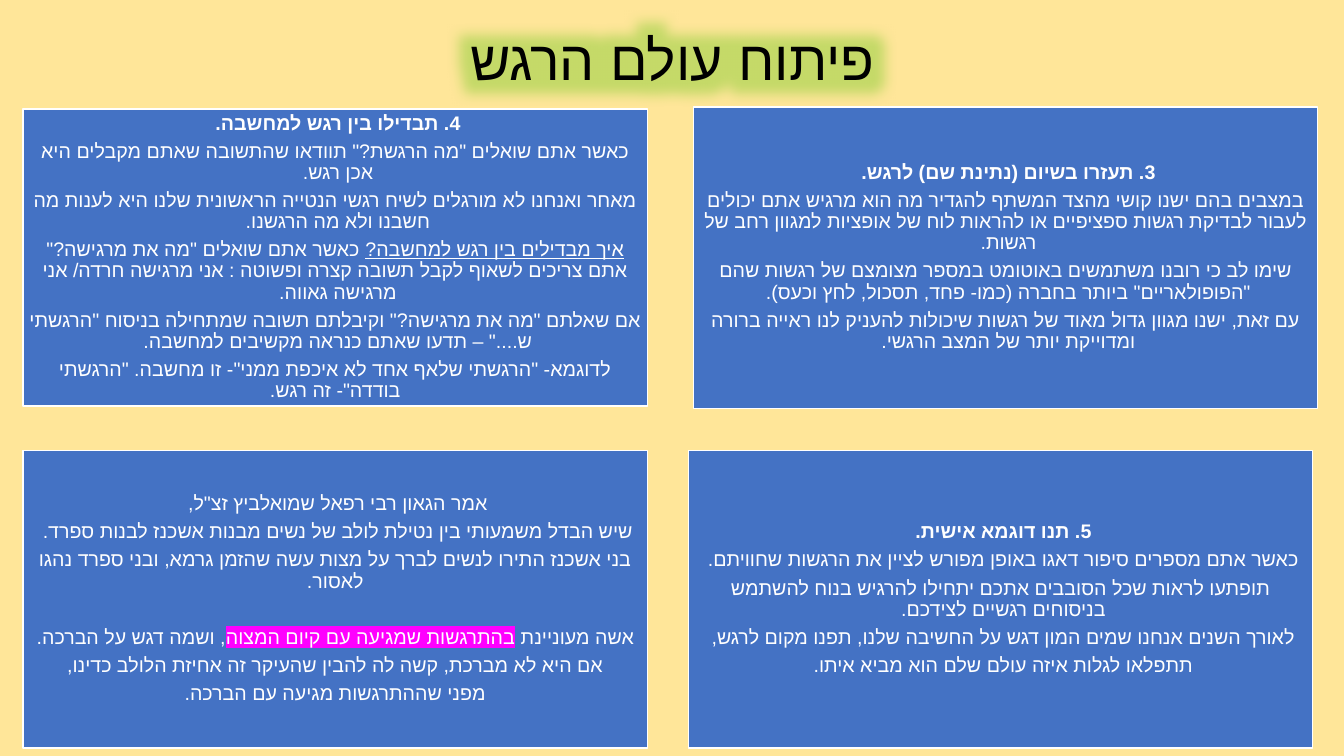
import pptx
import pptx.dml.color
import pptx.enum.shapes
import pptx.enum.text
import pptx.oxml
import pptx.oxml.ns
import pptx.util

SLIDE_W, SLIDE_H = 13.33, 7.5
LEFT, TOP = 0.23, 1.08            # first cell of the panel grid
COL_STEP, ROW_STEP = 6.6, 3.39
PANEL_W, PANEL_H = 6.19, 2.95
FONT, HEBREW_FONT = "Calibri", "Arial"
COLORS = {
    "background": "FFE699",
    "panel": "4472C4",
    "white": "FFFFFF",
    "title": "000000",
    "glow": "6FC820",
    "marker": "FF00FF",
}

# Each paragraph is a list of (text, format) runs.
THOUGHT = [
    [("4. תבדילו בין רגש למחשבה. ", {"bold": True})],
    [("כאשר אתם שואלים \"מה הרגשת?\" תוודאו שהתשובה שאתם מקבלים היא אכן רגש. ", {})],
    [("מאחר ואנחנו לא מורגלים לשיח רגשי הנטייה הראשונית שלנו היא לענות מה חשבנו ולא מה הרגשנו. ", {})],
    [("איך מבדילים בין רגש למחשבה?", {"underline": True}),
     (" כאשר אתם שואלים \"מה את מרגישה?\" אתם צריכים לשאוף לקבל תשובה קצרה ופשוטה : "
      "אני מרגישה חרדה/ אני מרגישה גאווה. ", {})],
    [("אם שאלתם \"מה את מרגישה?\" וקיבלתם תשובה שמתחילה בניסוח \"הרגשתי ש....\" – "
      "תדעו שאתם כנראה מקשיבים למחשבה. ", {})],
    [("לדוגמא- \"הרגשתי שלאף אחד לא איכפת ממני\"- זו מחשבה. \"הרגשתי בודדה\"- זה רגש.", {})],
]
NAMING = [
    [("3. תעזרו בשיום (נתינת שם) לרגש. ", {"bold": True})],
    [("במצבים בהם ישנו קושי מהצד המשתף להגדיר מה הוא מרגיש אתם יכולים לעבור לבדיקת "
      "רגשות ספציפיים או להראות לוח של אופציות למגוון רחב של רגשות. ", {})],
    [("שימו לב כי רובנו משתמשים באוטומט במספר מצומצם של רגשות שהם \"הפופולאריים\" "
      "ביותר בחברה (כמו- פחד, תסכול, לחץ וכעס). ", {})],
    [("עם זאת, ישנו מגוון גדול מאוד של רגשות שיכולות להעניק לנו ראייה ברורה "
      "ומדוייקת יותר של המצב הרגשי. ", {})],
]
BLESSING = [
    [("אמר הגאון רבי רפאל שמואלביץ זצ\"ל, ", {})],
    [("שיש הבדל משמעותי בין נטילת לולב של נשים מבנות אשכנז לבנות ספרד. ", {})],
    [("בני אשכנז התירו לנשים לברך על מצות עשה שהזמן גרמא, ובני ספרד נהגו לאסור.", {})],
    [(" אשה מעוניינת ", {}),
     ("בהתרגשות שמגיעה עם קיום המצוה", {"highlight": "marker"}),
     (", ושמה דגש על הברכה. ", {})],
    [("אם היא לא מברכת, קשה לה להבין שהעיקר זה אחיזת הלולב כדינו,", {})],
    [("מפני שההתרגשות מגיעה עם הברכה.", {})],
]
EXAMPLE = [
    [("5. תנו דוגמא אישית. ", {"bold": True})],
    [("כאשר אתם מספרים סיפור דאגו באופן מפורש לציין את הרגשות שחוויתם. ", {})],
    [("תופתעו לראות שכל הסובבים אתכם יתחילו להרגיש בנוח להשתמש בניסוחים רגשיים לצידכם. ", {})],
    [("לאורך השנים אנחנו שמים המון דגש על החשיבה שלנו, תפנו מקום לרגש, ", {})],
    [("תתפלאו לגלות איזה עולם שלם הוא מביא איתו. ", {})],
]


def rgb(name):
    return pptx.dml.color.RGBColor.from_string(COLORS[name])


def xml(tag, content="", attributes=""):
    """Build one DrawingML element that declares the a: prefix."""
    ns = pptx.oxml.ns.nsdecls("a")
    return pptx.oxml.parse_xml(f"<a:{tag} {ns} {attributes}>{content}</a:{tag}>")


def add_run(p, text, size=14, color="white", bold=False, underline=False,
            highlight=None, glow=None):
    r = p.add_run()
    r.text = text
    f = r.font
    f.size, f.bold, f.underline = pptx.util.Pt(size), bold, underline
    f.color.rgb = rgb(color)
    f.name = FONT
    rpr = r._r.get_or_add_rPr()
    rpr.append(xml("cs", attributes=f'typeface="{HEBREW_FONT}"'))
    fill = rpr.find(pptx.oxml.ns.qn("a:solidFill"))
    if highlight:
        fill.addnext(xml("highlight", f'<a:srgbClr val="{COLORS[highlight]}"/>'))
    if glow:
        fill.addnext(xml("effectLst", f'<a:glow rad="508000"><a:srgbClr val="{COLORS[glow]}">'
                                      '<a:alpha val="40000"/></a:srgbClr></a:glow>'))


def format_rtl(p, before=0, after=0):
    p.alignment = pptx.enum.text.PP_ALIGN.CENTER
    p.line_spacing = 0.9
    p.space_before, p.space_after = pptx.util.Pt(before), pptx.util.Pt(after)
    p._p.get_or_add_pPr().set("rtl", "1")


def place(sp, *box):
    sp.left, sp.top, sp.width, sp.height = (pptx.util.Inches(v) for v in box)


def add_title(slide, text):
    sp = slide.shapes.title
    place(sp, 0.92, 0.4, 11.5, 0.44)
    tf = sp.text_frame
    tf.word_wrap = True
    tf.auto_size = pptx.enum.text.MSO_AUTO_SIZE.NONE
    tf.vertical_anchor = pptx.enum.text.MSO_ANCHOR.MIDDLE
    format_rtl(tf.paragraphs[0])
    add_run(tf.paragraphs[0], text, size=39.6, color="title", glow="glow")


def add_panel(slide, col, row, paragraphs, dx=0, dy=0, extra_h=0, gap_before=None):
    """Fill a grid cell; gap_before is the index of a paragraph set off by a wide gap."""
    sp = slide.shapes.add_shape(pptx.enum.shapes.MSO_SHAPE.RECTANGLE, 0, 0, 0, 0)
    place(sp, LEFT + col * COL_STEP + dx, TOP + row * ROW_STEP + dy,
          PANEL_W, PANEL_H + extra_h)
    sp.shadow.inherit = False
    sp.fill.solid()
    sp.fill.fore_color.rgb = rgb("panel")
    sp.line.color.rgb = rgb("white")
    sp.line.width = pptx.util.Pt(1)
    tf = sp.text_frame
    tf.word_wrap = True
    tf.vertical_anchor = pptx.enum.text.MSO_ANCHOR.MIDDLE
    tf.margin_left = tf.margin_right = pptx.util.Inches(0.06)
    tf.margin_top = tf.margin_bottom = pptx.util.Inches(0.06)
    for i, runs in enumerate(paragraphs):
        p = tf.add_paragraph() if i else tf.paragraphs[0]
        format_rtl(p, before=20 if i == gap_before else 0, after=4.9)
        for text, style in runs:
            add_run(p, text, **style)


def main():
    prs = pptx.Presentation()
    prs.slide_width = pptx.util.Inches(SLIDE_W)
    prs.slide_height = pptx.util.Inches(SLIDE_H)
    slide = prs.slides.add_slide(prs.slide_layouts[5])
    slide.background.fill.solid()
    slide.background.fill.fore_color.rgb = rgb("background")
    add_title(slide, "פיתוח עולם הרגש")
    add_panel(slide, 0, 0, THOUGHT)
    add_panel(slide, 1, 0, NAMING, dx=0.05, dy=-0.02, extra_h=0.04)
    add_panel(slide, 0, 1, BLESSING, gap_before=3)
    add_panel(slide, 1, 1, EXAMPLE)
    prs.save("out.pptx")


if __name__ == "__main__":
    main()
